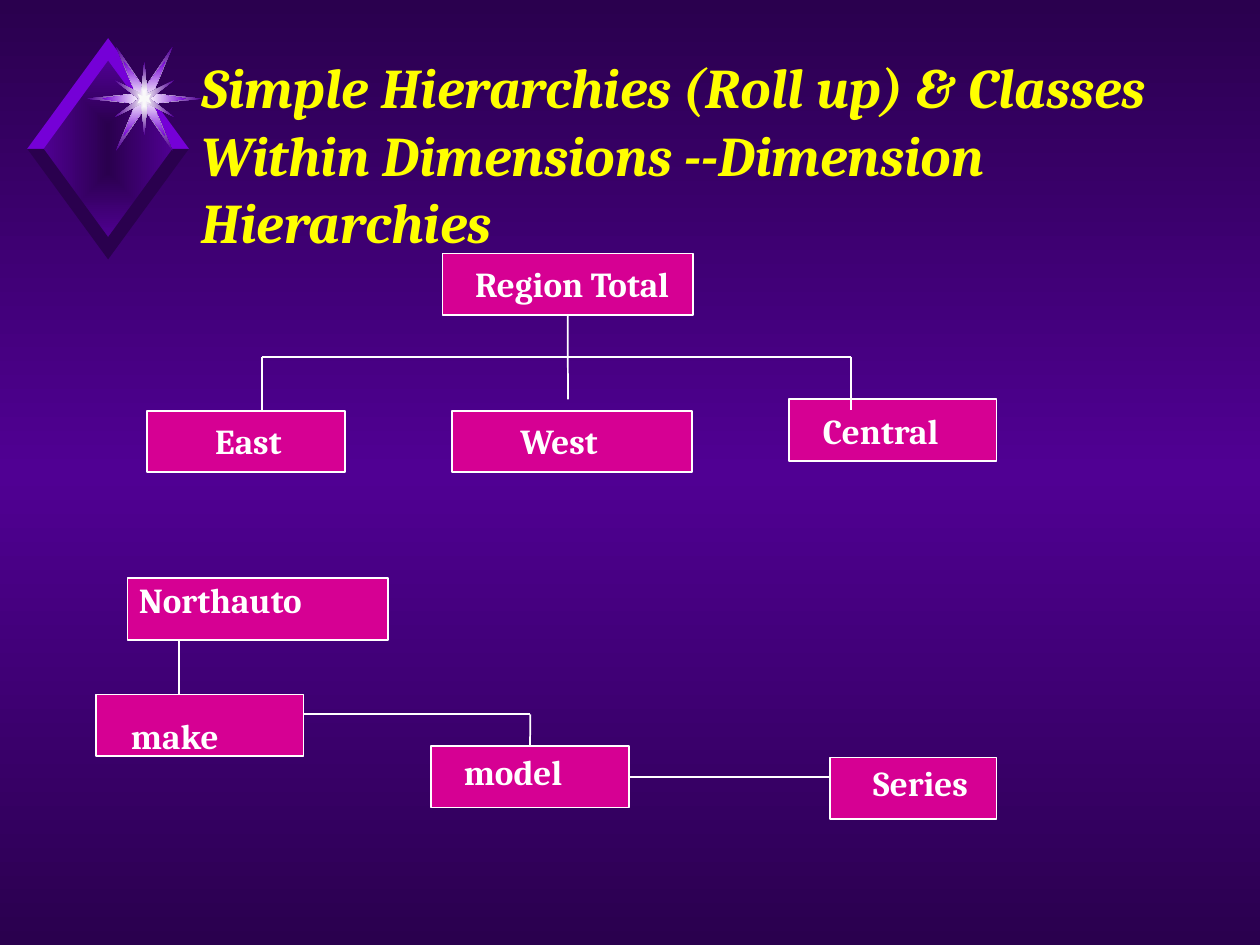
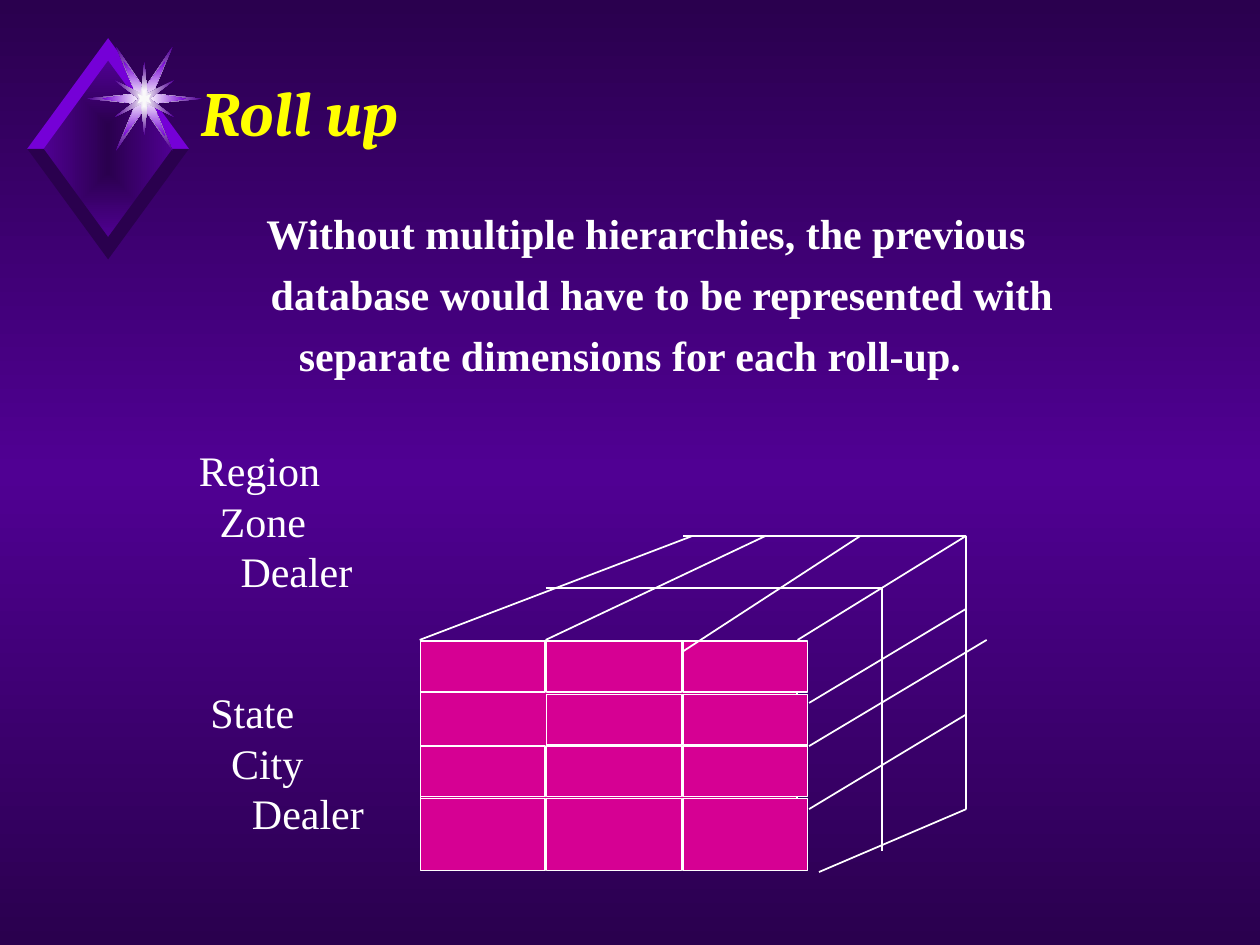
import itertools

import pptx
import pptx.dml.color
import pptx.enum.shapes
import pptx.enum.text
import pptx.oxml
import pptx.oxml.ns
import pptx.util
from lxml import etree

Cm, Pt = pptx.util.Cm, pptx.util.Pt
RGB = pptx.dml.color.RGBColor.from_string
qn = pptx.oxml.ns.qn
Kind = pptx.enum.shapes
Text = pptx.enum.text

HUES = {"dark": "2A004E", "mid": "500093", "vivid": "7500D7", "pink": "D60093",
        "white": "FFFFFF", "pale": "F9F9F9", "gold": "FFFF00"}
SERIF, PLAIN = "Cambria", "Times New Roman"


def block(slide, x, y, w, h):
    """Add a pink rectangle with a white outline."""
    rect = slide.shapes.add_shape(Kind.MSO_SHAPE.RECTANGLE, Cm(x), Cm(y), Cm(w), Cm(h))
    rect.shadow.inherit = False
    rect.fill.solid()
    rect.fill.fore_color.rgb = RGB(HUES["pink"])
    rect.line.color.rgb = RGB(HUES["white"])
    rect.line.width = Pt(1)
    return rect


def write(frame, lines, size, face, hue="white", bold=False, italic=False,
          align=Text.PP_ALIGN.LEFT, pitch=None, gap=0):
    """Fill a frame with (words, left indent in cm) paragraphs."""
    frame.word_wrap = True
    for num, (words, indent) in enumerate(lines):
        para = frame.add_paragraph() if num else frame.paragraphs[0]
        para.alignment = align
        if indent:
            para._p.get_or_add_pPr().set("marL", str(Cm(indent)))
        if pitch:
            para.line_spacing = Pt(pitch)
        if num and gap:
            para.space_before = Pt(gap)
        run = para.add_run()
        run.text = words
        run.font.size, run.font.name = Pt(size), face
        run.font.bold, run.font.italic = bold, italic
        run.font.color.rgb = RGB(HUES[hue])


prs = pptx.Presentation()
prs.slide_width, prs.slide_height = Cm(25.4), Cm(19.05)

# Shared background: dark at the edges, lighter in the middle
base = prs.slide_master
fill = base.background.fill
fill.gradient()
fill.gradient_angle = 90
for stop in fill.gradient_stops:
    stop.color.rgb = RGB(HUES["dark"])
stops = base._element.find(".//" + qn("a:gsLst"))
centre = etree.Element(qn("a:gs"), pos="50000")
etree.SubElement(centre, qn("a:srgbClr"), val=HUES["mid"])
stops.insert(1, centre)

# Emblem parts in hundredths of a cm: origin, outline, fill (two hues: centre, edge)
GEM, STAR = (2.18, 3.0), (2.91, 1.99)
parts = []
for quarter, spot, hues in [
    ([(132, 0), (0, 180)], GEM, ("dark", "mid")),
    ([(116, 0), (17, 10), (57, 105), (0, 20)], STAR, ("white", "mid")),
    ([(85, 0), (17, 10), (42, 76), (0, 20)], STAR, ("white", "vivid")),
    ([(11, 0), (60, 37), (6, 10), (0, 74)], STAR, ("white", "mid")),
    ([(9, 0), (14, 10), (3, 5), (0, 18)], STAR, ("pale",)),
]:
    half = quarter + [(-x, y) for x, y in reversed(quarter)]
    whole = half + [(x, -y) for x, y in reversed(half)]
    parts.append((spot, list(dict.fromkeys(whole)), hues))
bevel = [(0, 178), (0, 223), (163, 0), (130, 0)]
parts[1:1] = [(GEM, [(x * sx, y * sy) for x, y in bevel],
               ("vivid" if sy < 0 else "dark",))
              for sy, sx in itertools.product((-1, 1), (1, -1))]

pages = []
for title, size, high in [
    ("Simple Hierarchies (Roll up) & Classes Within Dimensions "
     "--Dimension Hierarchies", 32, 3.56),
    ("Roll up", 36, 1.85),
]:
    slide = prs.slides.add_slide(prs.slide_layouts[6])
    pages.append(slide)
    emblem = slide.shapes.add_group_shape()
    for (left, top), points, hues in parts:
        pen = emblem.shapes.build_freeform(*points[0], scale=Cm(0.01))
        pen.add_line_segments(points[1:], close=True)
        part = pen.convert_to_shape(Cm(left), Cm(top))
        part.shadow.inherit = False
        part.line.fill.background()
        if len(hues) == 1:
            part.fill.solid()
            part.fill.fore_color.rgb = RGB(HUES[hues[0]])
            continue
        part.fill.gradient()
        for stop, hue in zip(part.fill.gradient_stops, hues):
            stop.color.rgb = RGB(HUES[hue])
        grad = part._element.spPr.find(qn("a:gradFill"))
        ramp = etree.Element(qn("a:path"), {"path": "rect"})
        etree.SubElement(ramp, qn("a:fillToRect"), dict.fromkeys("ltrb", "50000"))
        grad.replace(grad.find(qn("a:lin")), ramp)
    head = slide.shapes.add_textbox(Cm(3.81), Cm(1.32), Cm(19.69), Cm(high)).text_frame
    head.vertical_anchor = Text.MSO_ANCHOR.MIDDLE
    write(head, [(title, 0)], size, SERIF, "gold", bold=True, italic=True)
tree, cube = pages

# Slide 1: hierarchy boxes (left, top, width, text inset left and top)
nodes = {}
for name, x, y, w, left, top in [
    ("Region Total", 8.92, 5.11, 5.05, 0.66, 0.18),
    ("East", 2.97, 8.28, 3.99, 1.37, 0.18),
    ("West", 9.12, 8.28, 4.83, 1.37, 0.18),
    ("Central", 15.9, 8.05, 4.19, 0.69, 0.2),
    ("Northauto", 2.57, 11.66, 5.26, 0.23, 0),
    ("make", 1.93, 14, 4.19, 0.71, 0.41),
    ("model", 8.69, 15.04, 3.99, 0.66, 0.08),
    ("Series", 16.74, 15.27, 3.35, 0.86, 0.08),
]:
    node = nodes[name] = block(tree, x, y, w, 1.24)
    frame = node.text_frame
    frame.vertical_anchor = Text.MSO_ANCHOR.TOP
    frame.margin_left, frame.margin_top = Cm(left), Cm(top)
    frame.margin_right = frame.margin_bottom = 0
    write(frame, [(name, 0)], 20, SERIF, bold=True)

# Slide 2: statement, cube front and dimension lists
body = cube.shapes.add_textbox(Cm(3.81), Cm(4.06), Cm(17.78), Cm(4.2))
write(body.text_frame, [
    ("Without multiple hierarchies, the previous", 0.65),
    ("database would have to be represented with", 1.29),
    ("separate dimensions for each roll-up.", 0),
], 24, PLAIN, bold=True, align=Text.PP_ALIGN.CENTER, pitch=28.8, gap=6)

block(cube, 8.48, 12.93, 7.59, 4.42)
cols = [(8.48, 2.51), (11.02, 2.72), (13.77, 2.51)]
rows = [(12.93, 1.02), (14, 1.02), (15.04, 1.02), (16.1, 1.45)]
for (y, h), (x, w) in itertools.product(rows, cols):
    if (x, y) != (8.48, 14):  # this cell is the backing block itself
        block(cube, x, y, w, h)

for x, y, names in [(3.76, 8.84, ("Region", "Zone", "Dealer")),
                    (3.99, 13.72, ("State", "City", "Dealer"))]:
    box = cube.shapes.add_textbox(Cm(x), Cm(y), Cm(3.61), Cm(3.3))
    write(box.text_frame, [(name, 0.42 * step) for step, name in enumerate(names)],
          24, PLAIN, pitch=28.8)

# Lines of both slides (from x, y to x, y)
wires = {}
for slide, ends in [
    (tree, [
        (11.45, 6.35, 11.45, 8.05),
        (5.28, 7.19, 17.15, 7.19),
        (5.28, 7.19, 5.28, 8.28),
        (17.15, 7.19, 17.15, 8.26),
        (3.61, 12.9, 3.61, 14),
        (6.12, 14.4, 10.69, 14.4),
        (10.69, 14.4, 10.69, 15.04),
        (12.68, 15.66, 16.74, 15.66),
    ]),
    (cube, [
        (8.46, 12.9, 13.97, 10.8),
        (11, 12.9, 15.44, 10.8),
        (13.77, 13.13, 17.35, 10.8),
        (16.08, 12.9, 19.48, 10.8),
        (13.77, 10.8, 19.48, 10.8),
        (11, 11.86, 17.78, 11.86),
        (17.78, 11.86, 17.78, 17.15),
        (19.48, 10.8, 19.48, 16.31),
        (16.31, 14.17, 19.48, 12.27),
        (16.31, 15.04, 19.89, 12.9),
        (16.31, 16.31, 19.48, 14.4),
        (16.51, 17.58, 19.48, 16.31),
    ]),
]:
    for spots in ends:
        wire = slide.shapes.add_connector(
            Kind.MSO_CONNECTOR.STRAIGHT, *[Cm(spot) for spot in spots])
        wire.line.color.rgb = RGB(HUES["white"])
        wire.line.width = Pt(1)
        etree.SubElement(wire._element.spPr, qn("a:effectLst"))
        wires[spots] = wire

links = list(wires.values())
links[0].begin_connect(nodes["Region Total"], 2)
links[6].end_connect(nodes["model"], 0)
links[7].begin_connect(nodes["model"], 3)

prs.save("out.pptx")
